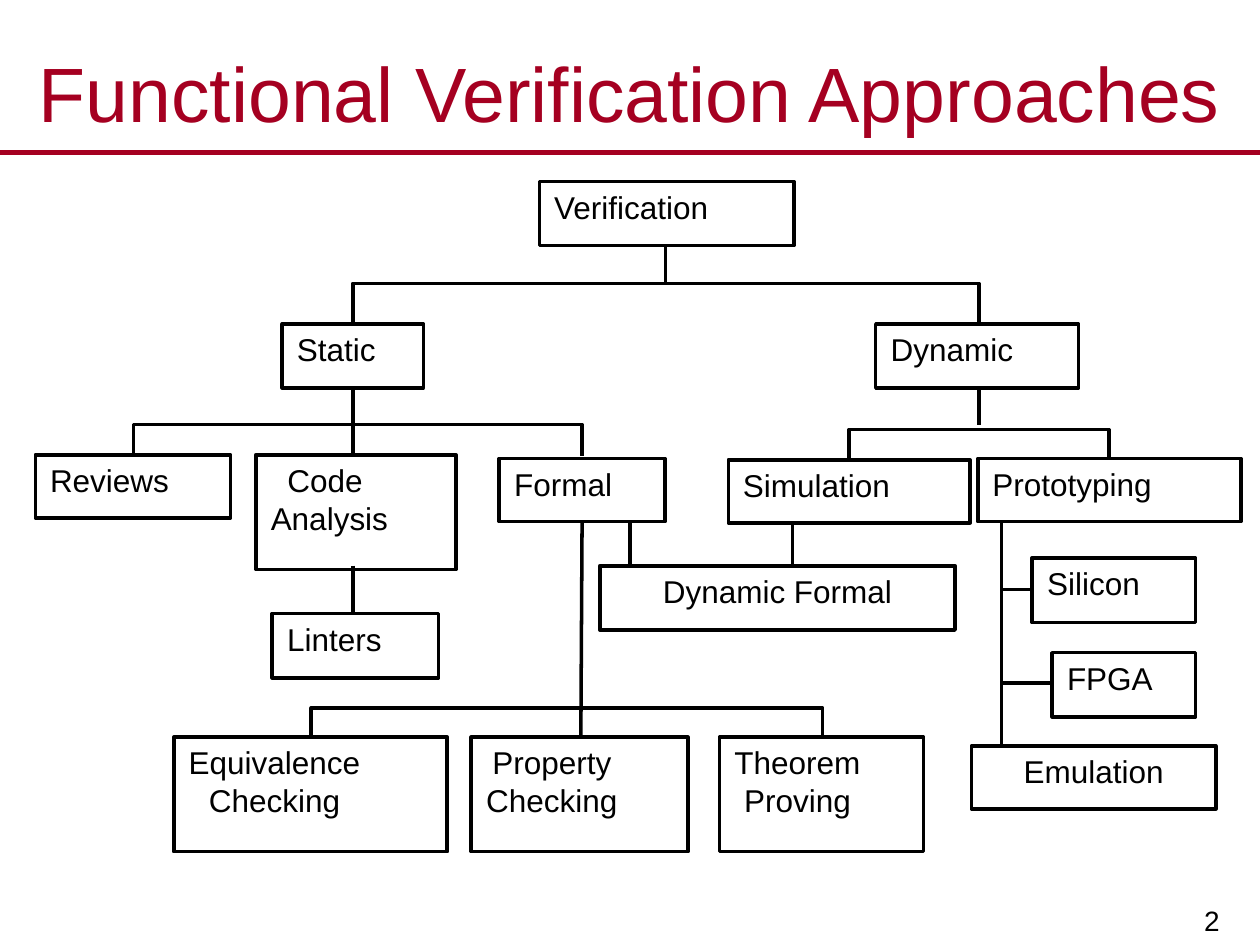
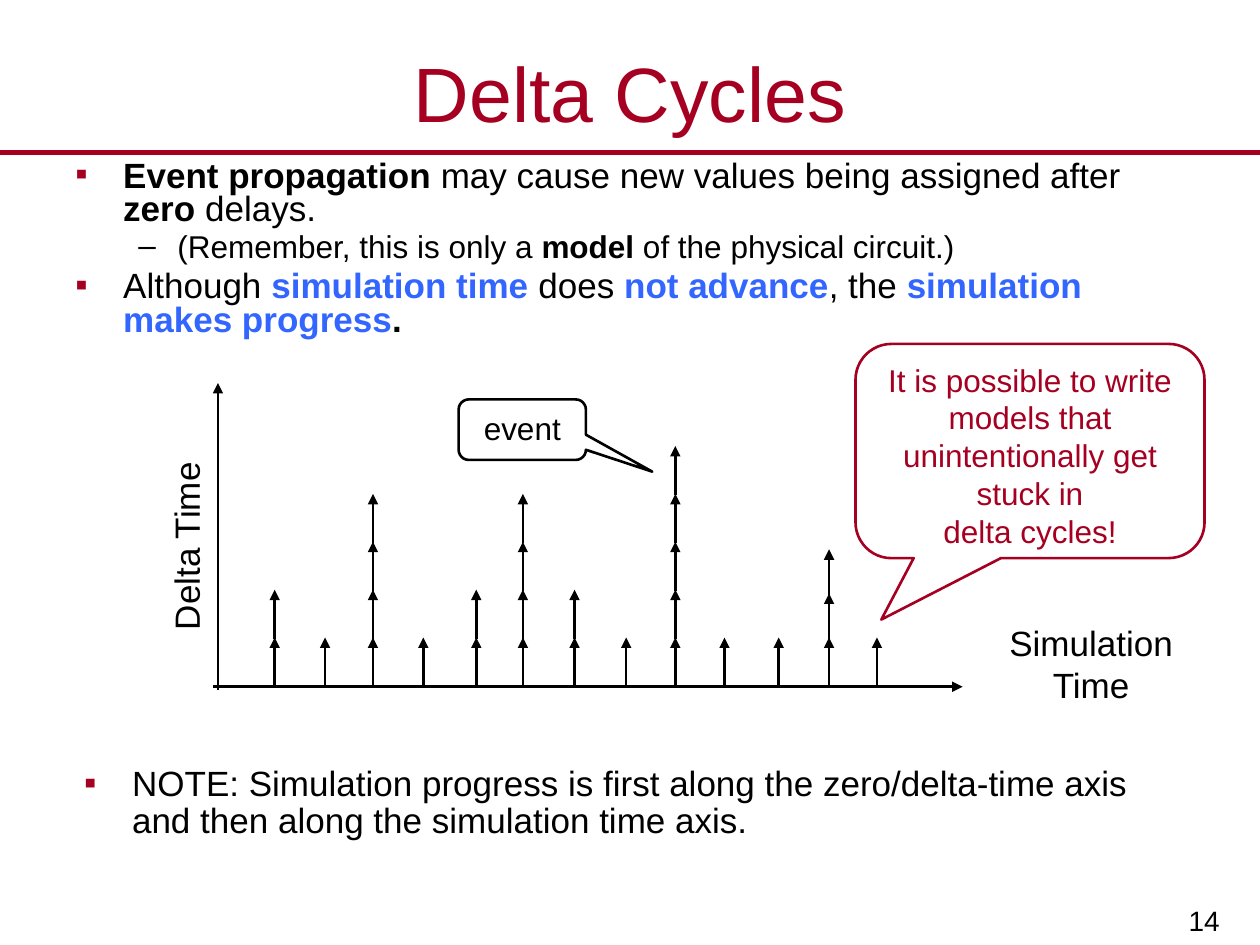
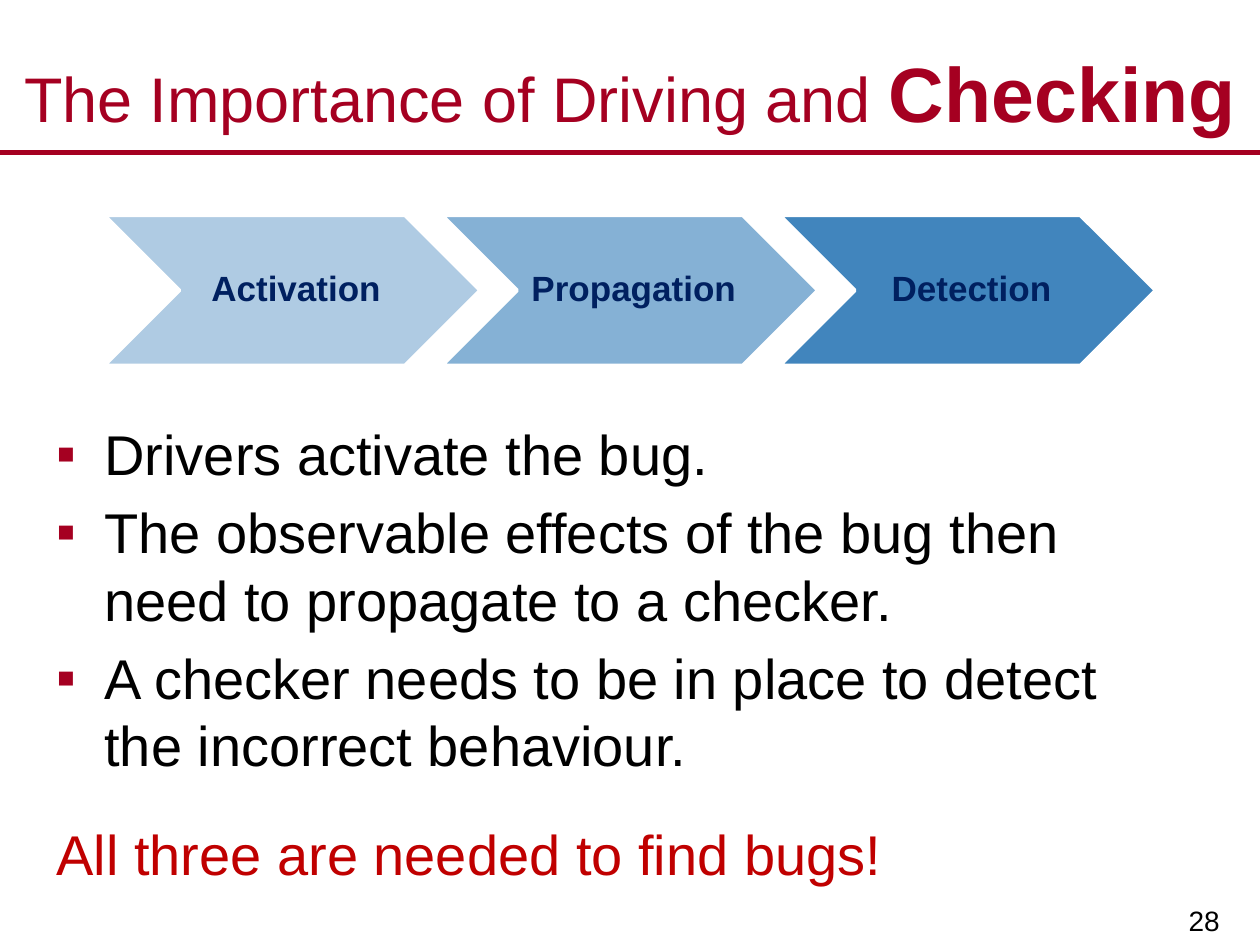
from dataclasses import dataclass
from typing import NamedTuple

from pptx import Presentation
from pptx.dml.color import RGBColor
from pptx.enum.shapes import MSO_CONNECTOR as Link, MSO_SHAPE as Form
from pptx.enum.text import MSO_ANCHOR as Anchor, PP_ALIGN as Align
from pptx.oxml.ns import qn
from pptx.util import Inches, Pt
from lxml.etree import SubElement as Sub

# Shared look
FONT = "Arial"
RED, BLACK, WHITE = "A50021", "000000", "FFFFFF"
BLUE, NAVY, ALERT = "3366FF", "002060", "C00000"
PAD = (0.1, 0.05, 0.1, 0.05)


class Run(NamedTuple):
    text: str
    bold: bool = False
    color: str | None = None
    size: float | None = None


@dataclass
class Para:
    runs: list[Run]
    size: float | None = None
    before: float = 0
    mark: str = ""
    tint: str = RED
    left: float = 0
    hang: float = 0


class Node(NamedTuple):
    lines: list[str]
    x: float
    y: float
    w: float
    h: float
    block: float = 0  # width of the text block, 0 for the whole box


class Fork(NamedTuple):
    left: float
    right: float
    top: float
    foot: float


class Stem(NamedTuple):
    x: float
    count: int = 1
    step: float = 0.38


class Step(NamedTuple):
    text: str
    fill: str


def rgb(code: str) -> RGBColor:
    return RGBColor.from_string(code)


# Text
def bullet(par, item: Para) -> None:
    props = par._p.get_or_add_pPr()
    props.set("marL", str(Inches(item.left)))
    props.set("indent", str(Inches(-item.hang)))
    if item.mark:
        tint = Sub(props, qn("a:buClr"))
        Sub(tint, qn("a:srgbClr")).set("val", item.tint)
        Sub(props, qn("a:buFont")).set("typeface", FONT)
        Sub(props, qn("a:buChar")).set("char", item.mark)


def write(shape, paras: list, *, size: float = 18, color: str = BLACK,
          bold: bool = False, align=Align.CENTER, anchor=Anchor.TOP,
          line: float = 1, pad: tuple = PAD):
    frame = shape.text_frame
    frame.word_wrap = True
    frame.vertical_anchor = anchor
    (frame.margin_left, frame.margin_top,
     frame.margin_right, frame.margin_bottom) = map(Inches, pad)
    for i, item in enumerate(paras):
        if isinstance(item, str):
            item = Para([Run(item)])
        par = frame.add_paragraph() if i else frame.paragraphs[0]
        par.alignment = align
        par.line_spacing = line
        par.space_before = Pt(item.before)
        bullet(par, item)
        for part in item.runs:
            run = par.add_run()
            run.text = part.text
            font = run.font
            font.name = FONT
            font.size = Pt(part.size or item.size or size)
            font.bold = bold or part.bold
            font.color.rgb = rgb(part.color or color)
    return shape


def label(slide, x: float, y: float, w: float, h: float, paras: list, **fmt):
    box = slide.shapes.add_textbox(*map(Inches, (x, y, w, h)))
    return write(box, paras, **fmt)


# Shapes and lines
def draw(slide, form, x: float, y: float, w: float, h: float, *,
         edge: str = BLACK, width: float = 2, fill: str = ""):
    shape = slide.shapes.add_shape(form, *map(Inches, (x, y, w, h)))
    shape.shadow.inherit = False
    if fill:
        shape.fill.solid()
        shape.fill.fore_color.rgb = rgb(fill)
    else:
        shape.fill.background()
    shape.line.color.rgb = rgb(edge)
    shape.line.width = Pt(width)
    return shape


def wire(slide, x1: float, y1: float, x2: float, y2: float, *,
         color: str = BLACK, width: float = 2, tip: bool = False,
         kind=Link.STRAIGHT):
    link = slide.shapes.add_connector(kind, *map(Inches, (x1, y1, x2, y2)))
    link.line.color.rgb = rgb(color)
    link.line.width = Pt(width)
    if tip:
        Sub(link.line._get_or_add_ln(), qn("a:tailEnd")).set("type", "triangle")
    Sub(link._element.spPr, qn("a:effectLst"))
    return link


def split(slide, fork: Fork) -> None:
    """Elbow turned on its side: a bar with a leg down at each end."""
    thin = 0.01
    mid, half = (fork.left + fork.right) / 2, (fork.right - fork.left) / 2
    link = wire(slide, mid - thin / 2, fork.foot - half,
                mid + thin / 2, fork.foot + half, kind=Link.ELBOW)
    props = link._element.spPr
    props.find(qn("a:xfrm")).set("rot", str(270 * 60000))
    geom = props.find(qn("a:prstGeom"))
    rise = round((fork.foot - fork.top) / thin * 100000)
    bend = geom.find(qn("a:avLst"))
    if bend is None:
        bend = Sub(geom, qn("a:avLst"))
    guide = Sub(bend, qn("a:gd"))
    guide.set("name", "adj1")
    guide.set("fmla", f"val {rise}")


def bubble(slide, x: float, y: float, w: float, h: float, tip: tuple,
           lines: list[str], color: str) -> None:
    shape = draw(slide, Form.ROUNDED_RECTANGULAR_CALLOUT, x, y, w, h,
                 edge=color, width=1.5)
    for i, value in enumerate((*tip, 0.167)):
        shape.adjustments[i] = value
    write(shape, lines, color=color)


# Page frame
deck = Presentation()
deck.slide_width, deck.slide_height = Inches(10), Inches(7.5)


def page(title: list[Run], number: int):
    slide = deck.slides.add_slide(deck.slide_layouts[6])
    wire(slide, 0, 1.21, 10, 1.21, color=RED, width=3)
    label(slide, 7.8, 6.93, 1.99, 0.57, [str(number)], size=16,
          align=Align.RIGHT, anchor=Anchor.BOTTOM,
          pad=(0.11, 0.06, 0.11, 0.06))
    label(slide, 0, 0.3, 10, 0.86, [Para(title)], size=44, color=RED,
          anchor=Anchor.MIDDLE)
    return slide


def point(*runs: Run, before: float = 0) -> Para:
    return Para(list(runs), before=before, mark="▪", left=0.38, hang=0.38)


# Slide 1: tree of approaches
NODES = [
    Node(["Verification"], 4.28, 1.44, 2.02, 0.51, 1.26),
    Node(["Reviews"], 0.28, 3.61, 1.55, 0.5, 0.98),
    Node(["Dynamic"], 6.95, 2.57, 1.61, 0.51, 1.01),
    Node(["Static"], 2.24, 2.57, 1.12, 0.51, 0.66),
    Node(["Prototyping"], 7.76, 3.64, 2.09, 0.5, 1.3),
    Node(["Simulation"], 5.78, 3.65, 1.92, 0.5, 1.2),
    Node(["Formal"], 3.96, 3.64, 1.32, 0.5, 0.82),
    Node(["Code ", "Analysis"], 2.03, 3.61, 1.59, 0.91, 0.97),
    Node(["Dynamic Formal"], 4.76, 4.49, 2.82, 0.51),
    Node(["Linters"], 2.16, 4.87, 1.32, 0.51, 0.79),
    Node(["Theorem", "Proving"], 5.71, 5.85, 1.62, 0.91, 1.04),
    Node(["Property", "Checking"], 3.74, 5.85, 1.72, 0.91, 1.08),
    Node(["Equivalence", "Checking"], 1.38, 5.85, 2.17, 0.91, 1.4),
    Node(["Silicon"], 8.19, 4.43, 1.3, 0.51, 0.78),
    Node(["FPGA"], 8.35, 5.18, 1.14, 0.51, 0.72),
    Node(["Emulation"], 7.71, 5.92, 1.94, 0.5),
]
FORKS = [
    Fork(2.8, 7.77, 2.24, 2.57),
    Fork(1.06, 4.62, 3.36, 3.62),
    Fork(6.74, 8.8, 3.4, 3.65),
    Fork(2.47, 6.53, 5.61, 5.85),
]
WIRES = [
    (5.28, 1.95, 5.28, 2.26), (2.8, 3.08, 2.8, 3.61),
    (7.77, 3.08, 7.77, 3.37), (6.29, 4.15, 6.29, 4.49),
    (2.8, 4.49, 2.8, 4.87), (4.62, 4.14, 4.61, 5.85),
    (5, 4.14, 5, 4.49), (7.95, 4.13, 7.95, 5.94),
    (7.94, 4.68, 8.19, 4.68), (7.95, 5.42, 8.34, 5.42),
]
tree = page([Run("Functional Verification Approaches")], 2)
for node in NODES:
    box = draw(tree, Form.RECTANGLE, node.x, node.y, node.w, node.h)
    rest = node.w - 0.1 - node.block if node.block else 0.1
    write(box, node.lines, pad=(0.1, 0.05, rest, 0.05))
for fork in FORKS:
    split(tree, fork)
for ends in WIRES:
    wire(tree, *ends)

# Slide 2: events on two time axes
delta = page([Run("Delta Cycles")], 14)
label(delta, 0.5, 1.23, 9, 1.66, [
    point(Run("Event propagation ", True),
          Run("may cause new values being assigned after "),
          Run("zero ", True), Run("delays. ")),
    Para([Run("(Remember, this is only a "), Run("model ", True),
          Run("of the physical circuit.)")],
         size=18, before=3.6, mark="–", tint=BLACK, left=0.81, hang=0.31),
    point(Run("Although "), Run("simulation time ", True, BLUE),
          Run("does "), Run("not advance", True, BLUE), Run(", the "),
          Run("simulation makes progress", True, BLUE), Run(".", True),
          before=4),
], size=20, align=Align.LEFT, line=0.8)
label(delta, 0.57, 6.03, 9, 0.94, [
    point(Run("NOTE: Simulation progress is first along the zero/delta-time "
              "axis and then along the simulation time axis.")),
], size=20, align=Align.LEFT, line=0.9)
label(delta, 0.55, 4.12, 1.85, 0.43, ["Delta Time"], size=20).rotation = 270
label(delta, 7.85, 4.88, 1.62, 0.77, ["Simulation Time"], size=20)

BASE, RISE = 5.45, 0.39
STEMS = [
    Stem(2.18, 2), Stem(2.58), Stem(2.96, 4), Stem(3.36), Stem(3.78, 2),
    Stem(4.15, 4), Stem(4.56, 2), Stem(4.97), Stem(5.36, 5), Stem(5.75),
    Stem(6.18), Stem(6.58, 3, 0.35), Stem(6.96),
]
wire(delta, 1.73, 5.48, 1.73, 3.04, width=1.5, tip=True)
wire(delta, 1.69, BASE, 7.64, BASE, width=1.5, tip=True)
for stem in STEMS:
    for i in range(stem.count):
        low = BASE - i * stem.step
        wire(delta, stem.x, low, stem.x, low - RISE, width=1.5, tip=True)
bubble(delta, 3.64, 3.17, 1.01, 0.48, (1.022, 0.695), ["event"], BLACK)
bubble(delta, 6.79, 2.73, 2.77, 1.7, (-0.426, 0.787),
       ["It is possible to write models that unintentionally get stuck in",
        "delta cycles!"], RED)

# Slide 3: chevron chain and its meaning
chain = page([Run("The Importance of Driving and ", size=36),
              Run("Checking", True)], 28)
label(chain, 0.35, 3.28, 9.21, 3.54, [
    point(Run("Drivers activate the bug.")),
    point(Run("The observable effects of the bug then need to propagate "
              "to a checker."), before=6.4),
    point(Run("A checker needs to be in place to detect the incorrect "
              "behaviour."), before=6.4),
    Para([Run("All three are needed to find bugs!", color=ALERT)],
         before=24, left=0.38, hang=0.38),
], size=32, align=Align.LEFT)
STEPS = [Step("Activation", "AFCBE3"), Step("Propagation", "85B1D5"),
         Step("Detection", "4185BD")]
for i, step in enumerate(STEPS):
    area = (0.83 + i * 2.68, 1.71, 2.98, 1.19)
    draw(chain, Form.CHEVRON, *area, edge=WHITE, fill=step.fill)
    label(chain, *area, [step.text], size=20, color=NAVY, bold=True,
          anchor=Anchor.MIDDLE, line=0.9, pad=(0.09, 0.03, 0.03, 0.03))

deck.save("out.pptx")
